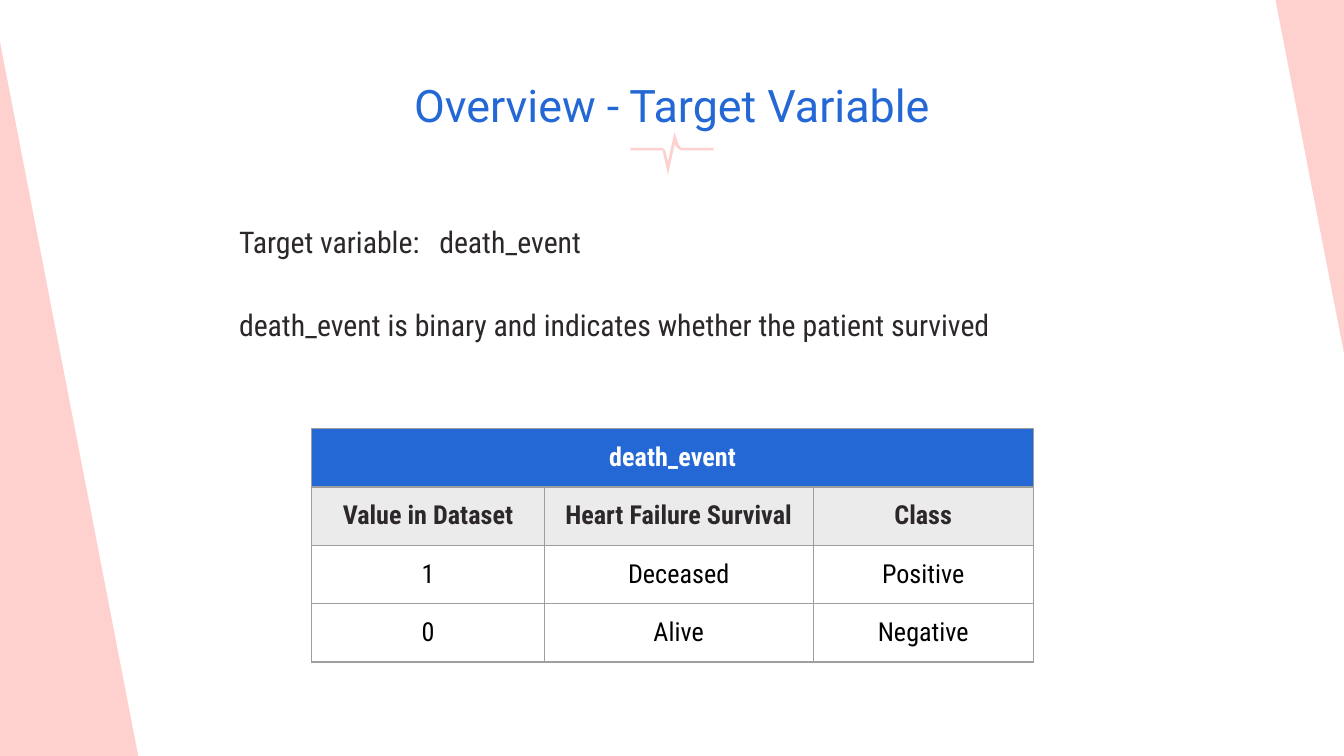
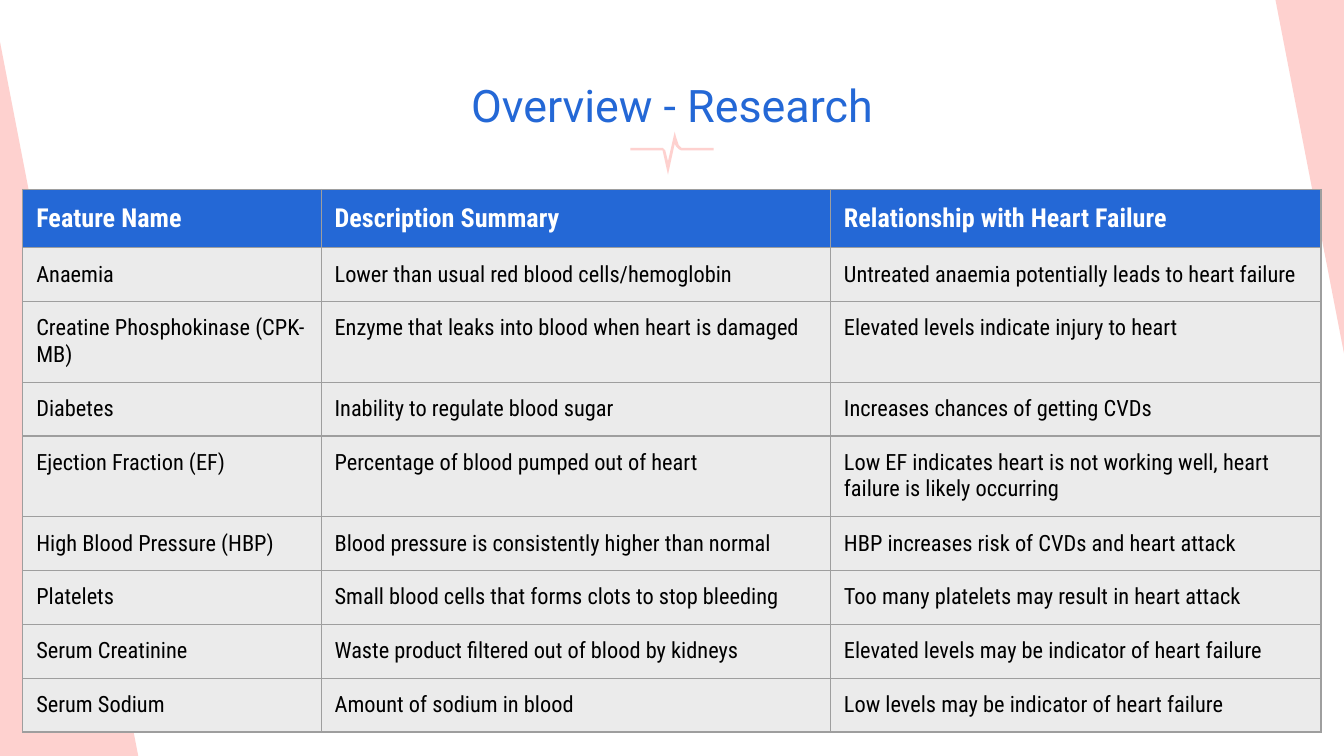
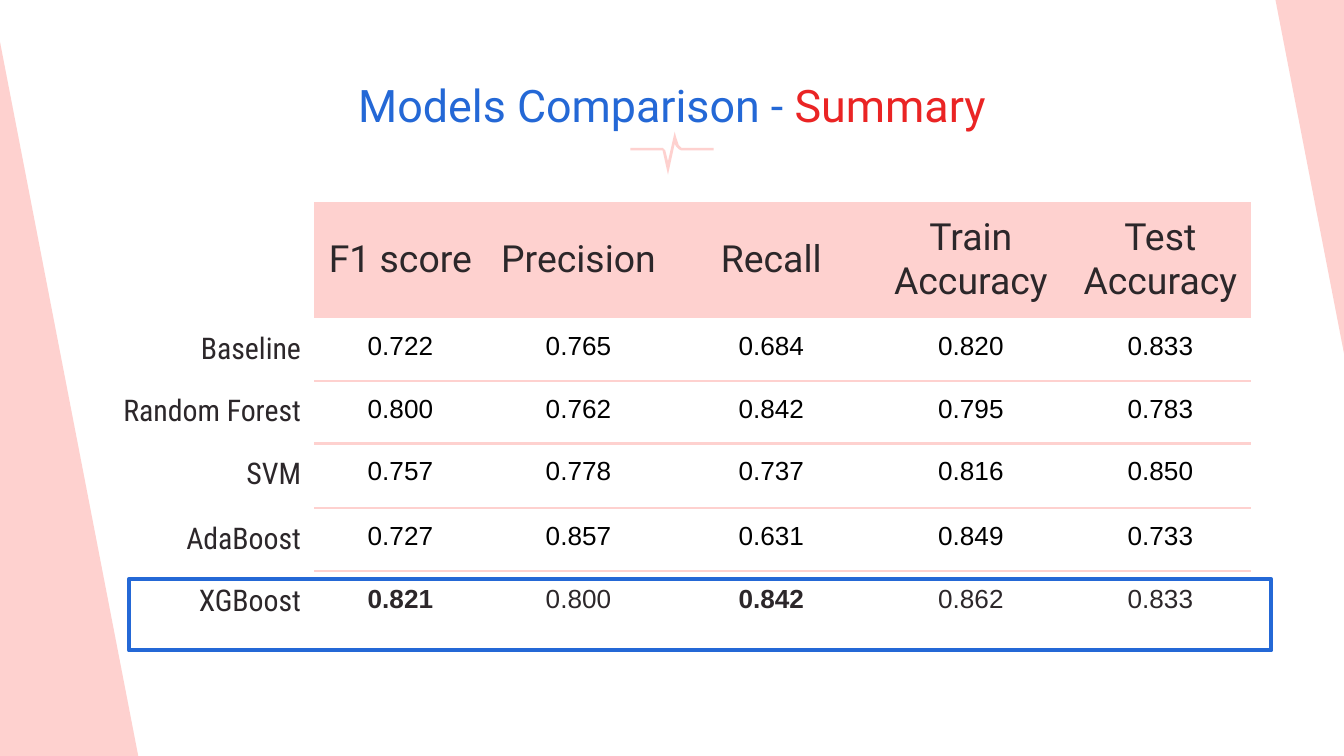
from dataclasses import dataclass, replace

from lxml.etree import SubElement
from pptx import Presentation
from pptx.dml.color import RGBColor
from pptx.enum.shapes import MSO_SHAPE as Shape
from pptx.enum.text import MSO_ANCHOR as Anchor, PP_ALIGN as Align
from pptx.oxml.ns import qn
from pptx.util import Inches, Pt

BLUE, PINK, RED = "2468D6", "FED1CF", "EA2424"
INK, BLACK, WHITE = "2C272A", "000000", "FFFFFF"
GRAY, GRID = "EBEBEB", "9E9E9E"
PLAIN_TABLE = "{2D5ABB26-0587-4C30-8999-92F81FD0307C}"
ALL_SIDES = ("L", "R", "T", "B")

HEARTBEAT = [(33, 0), (28, 22), (26, 14), (24, 12), (0, 12), (0, 14), (24, 14),
             (28, 32), (33, 9), (34, 11), (36, 13), (38, 14), (62, 14), (62, 12),
             (38, 12), (36, 10), (34, 4)]
LEFT_WEDGE = [(0, 0), (0, 532), (103, 532)]
RIGHT_WEDGE = [(0, 0), (51, 0), (51, 263)]


@dataclass(frozen=True)
class Style:
    """Type settings of a run and alignment of its paragraph."""
    size: int
    font: str = "Roboto Condensed"
    color: str = INK
    bold: bool = False
    align: Align = Align.CENTER


TITLE = Style(24, "Roboto", BLUE)
BODY = Style(16, align=Align.LEFT)
BANNER = Style(14, color=WHITE, bold=True)
SUBHEAD = Style(14, bold=True)
VALUE = Style(14, color=BLACK)
FEATURE_HEAD = replace(BANNER, align=Align.LEFT)
FEATURE = Style(12, color=BLACK, align=Align.LEFT)
METRIC = Style(20, "Roboto")
MODEL = Style(16, align=Align.RIGHT)
SCORE = Style(14, "Arial", BLACK)


def rgb(hex_color):
    """Turn a hex string into a colour."""
    return RGBColor.from_string(hex_color)


def add_run(paragraph, text, style):
    """Append one styled run to a paragraph."""
    paragraph.alignment = style.align
    run = paragraph.add_run()
    run.text = text
    font = run.font
    font.size, font.name, font.bold = Pt(style.size), style.font, style.bold
    font.color.rgb = rgb(style.color)


def write_lines(frame, lines, style):
    """Write each line as a paragraph and return the paragraphs."""
    for index, line in enumerate(lines):
        paragraph = frame.add_paragraph() if index else frame.paragraphs[0]
        add_run(paragraph, line, style)
    return frame.paragraphs


def add_text_frame(slide, left, top, width, height, inset_top=0.1):
    """Add a wrapping text box and return its frame."""
    box = slide.shapes.add_textbox(Inches(left), Inches(top), Inches(width), Inches(height))
    frame = box.text_frame
    frame.word_wrap = True
    frame.margin_left = frame.margin_right = frame.margin_bottom = Inches(0.1)
    frame.margin_top = Inches(inset_top)
    return frame


def add_outline(slide, left, top, points):
    """Draw a pink closed outline from points in hundredths of an inch."""
    builder = slide.shapes.build_freeform(*points[0], scale=Inches(0.01))
    builder.add_line_segments(points[1:], close=True)
    outline = builder.convert_to_shape(Inches(left), Inches(top))
    outline.shadow.inherit = False
    outline.fill.solid()
    outline.fill.fore_color.rgb = rgb(PINK)
    outline.line.fill.background()


def add_backdrop(slide):
    """Place the heartbeat and the two side wedges."""
    add_outline(slide, 4.69, 0.98, HEARTBEAT)
    add_outline(slide, 0, 0.31, LEFT_WEDGE)
    add_outline(slide, 9.49, 0, RIGHT_WEDGE)


def add_title(slide, text, accent=""):
    """Place the centred title with an optional red ending."""
    paragraph = add_text_frame(slide, 0, 0.48, 10, 0.46).paragraphs[0]
    add_run(paragraph, text, TITLE)
    if accent:
        add_run(paragraph, accent, replace(TITLE, color=RED))


def add_plain_table(slide, left, top, widths, heights):
    """Add a table without banding or borders."""
    table = slide.shapes.add_table(
        len(heights), len(widths), Inches(left), Inches(top),
        Inches(sum(widths)), Inches(sum(heights))).table
    table.first_row = table.horz_banding = False
    table._tbl.tblPr.find(qn("a:tableStyleId")).text = PLAIN_TABLE
    for column, width in zip(table.columns, widths):
        column.width = Inches(width)
    for row, height in zip(table.rows, heights):
        row.height = Inches(height)
    return table


def format_cell(cell, text, style, fill=None, sides=(), line=(GRID, 0.75)):
    """Set the text, borders and fill of a cell."""
    cell.margin_left = cell.margin_right = Inches(0.1)
    cell.margin_top = cell.margin_bottom = Inches(0.1)
    color, weight = line
    for side in sides:
        border = SubElement(cell._tc.get_or_add_tcPr(), qn(f"a:ln{side}"), w=str(Pt(weight)))
        SubElement(SubElement(border, qn("a:solidFill")), qn("a:srgbClr"), val=color)
    if fill:
        cell.fill.solid()
        cell.fill.fore_color.rgb = rgb(fill)
    else:
        cell.fill.background()
    if text:
        write_lines(cell.text_frame, text.split("\n"), style)


def add_target_text(slide, left, top, width, height):
    """Explain the target variable in two spaced lines."""
    frame = add_text_frame(slide, left, top, width, height, inset_top=0)
    lines = ["Target variable:\tdeath_event",
             "death_event is binary and indicates whether the patient survived"]
    name_line, meaning_line = write_lines(frame, lines, BODY)
    name_line.line_spacing = meaning_line.line_spacing = 1.5
    meaning_line.space_before = meaning_line.space_after = Pt(16)
    tabs = SubElement(name_line._p.get_or_add_pPr(), qn("a:tabLst"))
    SubElement(tabs, qn("a:tab"), pos=str(Inches(1.49)), algn="l")


def add_class_table(slide, left, top):
    """Map the dataset values to survival and class."""
    rows = [("death_event", "", ""),
            ("Value in Dataset", "Heart Failure Survival", "Class"),
            ("1", "Deceased", "Positive"),
            ("0", "Alive", "Negative")]
    looks = [(BANNER, BLUE), (SUBHEAD, GRAY), (VALUE, None), (VALUE, None)]
    table = add_plain_table(slide, left, top, [1.73, 2, 1.64], [0.43, 0.4, 0.43, 0.43])
    for r, (row, (style, fill)) in enumerate(zip(rows, looks)):
        for c, text in enumerate(row):
            format_cell(table.cell(r, c), text, style, fill, ALL_SIDES)
    table.cell(0, 0).merge(table.cell(0, 2))


def add_feature_table(slide, left, top):
    """List the features with their link to heart failure."""
    rows = [
        ("Feature Name", "Description Summary", "Relationship with Heart Failure"),
        ("Anaemia", "Lower than usual red blood cells/hemoglobin",
         "Untreated anaemia potentially leads to heart failure"),
        ("Creatine Phosphokinase (CPK-MB)", "Enzyme that leaks into blood when heart is damaged",
         "Elevated levels indicate injury to heart"),
        ("Diabetes", "Inability to regulate blood sugar", "Increases chances of getting CVDs"),
        ("Ejection Fraction (EF)", "Percentage of blood pumped out of heart",
         "Low EF indicates heart is not working well, heart failure is likely occurring"),
        ("High Blood Pressure (HBP)", "Blood pressure is consistently higher than normal",
         "HBP increases risk of CVDs and heart attack"),
        ("Platelets", "Small blood cells that forms clots to stop bleeding",
         "Too many platelets may result in heart attack"),
        ("Serum Creatinine", "Waste product filtered out of blood by kidneys",
         "Elevated levels may be indicator of heart failure"),
        ("Serum Sodium", "Amount of sodium in blood",
         "Low levels may be indicator of heart failure"),
    ]
    heights = [0.43, 0.34, 0.51, 0.32, 0.53, 0.22, 0.21, 0.15, 0.27]
    table = add_plain_table(slide, left, top, [2.22, 3.79, 3.65], heights)
    for r, row in enumerate(rows):
        style, fill = (FEATURE, GRAY) if r else (FEATURE_HEAD, BLUE)
        for c, text in enumerate(row):
            format_cell(table.cell(r, c), text, style, fill, ALL_SIDES)


def add_best_model_frame(slide, left, top, width, height):
    """Frame the row of the best model."""
    frame = slide.shapes.add_shape(
        Shape.RECTANGLE, Inches(left), Inches(top), Inches(width), Inches(height))
    frame.shadow.inherit = False
    frame.fill.background()
    frame.line.color.rgb = rgb(BLUE)
    frame.line.width = Pt(2.25)


def add_score_table(slide, left, top):
    """Compare the models by five metrics."""
    metrics = ["F1 score", "Precision", "Recall", "Train\nAccuracy", "Test\nAccuracy"]
    models = [("Baseline", "0.722", "0.765", "0.684", "0.820", "0.833"),
              ("Random Forest", "0.800", "0.762", "0.842", "0.795", "0.783"),
              ("SVM", "0.757", "0.778", "0.737", "0.816", "0.850"),
              ("AdaBoost", "0.727", "0.857", "0.631", "0.849", "0.733"),
              ("XGBoost", "0.821", "0.800", "0.842", "0.862", "0.833")]
    best_scores = ("0.821", "0.842")
    table = add_plain_table(slide, left, top, [1.66, 1.28, 1.37, 1.5, 1.47, 1.35],
                            [0.49, 0.45, 0.45, 0.48, 0.46, 0.47])
    format_cell(table.cell(0, 0), "", METRIC)
    for c, metric in enumerate(metrics, 1):
        heading = table.cell(0, c)
        format_cell(heading, metric, METRIC, PINK)
        heading.vertical_anchor = Anchor.MIDDLE
    for r, (model, *scores) in enumerate(models, 1):
        last = r == len(models)
        sides = ("T",) if last else ("B",) if r == 1 else ("T", "B")
        format_cell(table.cell(r, 0), model, MODEL)
        for c, score in enumerate(scores, 1):
            style = replace(SCORE, color=INK, bold=score in best_scores) if last else SCORE
            format_cell(table.cell(r, c), score, style, None, sides, (PINK, 1.5))


def add_target_slide(slide):
    """Build the target variable slide."""
    add_title(slide, "Overview - Target Variable")
    add_target_text(slide, 1.68, 1.53, 6.65, 1.78)
    add_class_table(slide, 2.32, 3.19)


def add_research_slide(slide):
    """Build the research slide."""
    add_title(slide, "Overview - Research")
    add_feature_table(slide, 0.17, 1.41)


def add_summary_slide(slide):
    """Build the model comparison slide."""
    add_best_model_frame(slide, 0.96, 4.31, 8.5, 0.53)
    add_title(slide, "Models Comparison - ", "Summary")
    add_score_table(slide, 0.68, 1.5)


def main():
    """Build and save the deck."""
    deck = Presentation()
    deck.slide_width = Inches(10)
    deck.slide_height = deck.slide_width * 9 // 16
    for fill_slide in (add_target_slide, add_research_slide, add_summary_slide):
        slide = deck.slides.add_slide(deck.slide_layouts[6])
        add_backdrop(slide)
        fill_slide(slide)
    deck.save("out.pptx")


if __name__ == "__main__":
    main()
